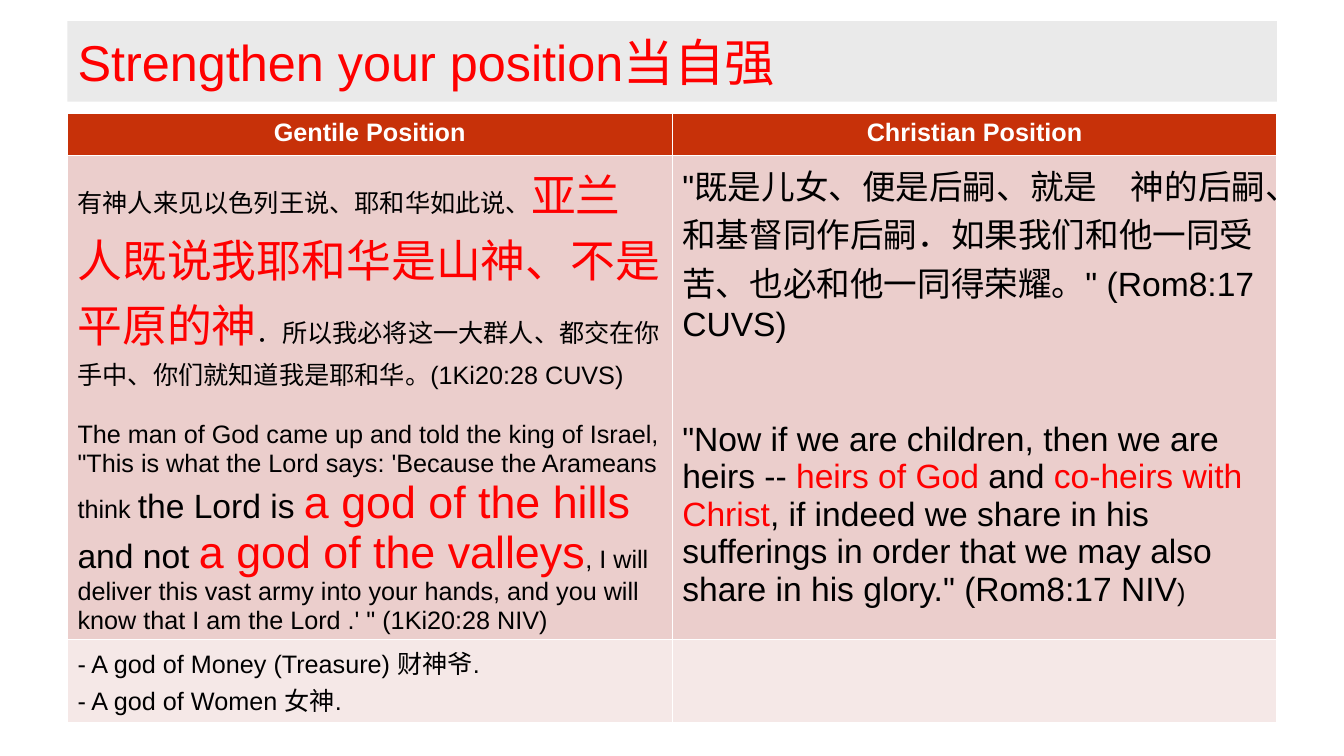
from dataclasses import dataclass

from pptx import Presentation
from pptx.dml.color import RGBColor as RGB
from pptx.enum.text import MSO_ANCHOR as Anchor, MSO_AUTO_SIZE as AutoSize, PP_ALIGN as Align
from pptx.util import Cm, Pt


@dataclass(frozen=True)
class Theme:
    font: str = "Arial"
    black: RGB = RGB(0, 0, 0)
    white: RGB = RGB(255, 255, 255)
    red: RGB = RGB(255, 0, 0)
    title_fill: RGB = RGB.from_string("EAEAEA")
    header_fill: RGB = RGB.from_string("C73109")
    row_fills: tuple = (RGB.from_string("EBCECC"), RGB.from_string("F5E8E7"))
    title: Pt = Pt(36)
    strong: Pt = Pt(32)
    verse: Pt = Pt(24)
    body: Pt = Pt(18)


T = Theme()
LEFT, WIDTH = Cm(1.7), Cm(30.48)
ROW_HEIGHTS = (Cm(1.04), Cm(12.15), Cm(2.08))

BODY = {"size": T.body, "color": T.black}
VERSE = {"size": T.verse, "color": T.black}
STRONG = {"size": T.strong, "color": T.red}
RED_VERSE = {"size": T.verse, "color": T.red}
HEADER = {"size": T.body, "color": T.white, "bold": True}

HEADERS = ("Gentile Position", "Christian Position")

GENTILE = [
    [("有神人来见以色列王说、耶和华如此说、", BODY),
     ("亚兰人既说我耶和华是山神、不是平原的神", STRONG),
     ("．所以我必将这一大群人、都交在你手中、你们就知道我是耶和华。(1Ki20:28 CUVS)", BODY)],
    [("The man of God came up and told the king of Israel, \"This is what the Lord says: "
      "'Because the Arameans think ", BODY),
     ("the Lord is ", VERSE),
     ("a god of the hills ", STRONG),
     ("and not ", VERSE),
     ("a god of the valleys", STRONG),
     (", I will deliver this vast army into your hands, and you will know that "
      "I am the Lord .' \" (1Ki20:28 NIV)", BODY)],
]

CHRISTIAN = [
    [("\"既是儿女、便是后嗣、就是　神的后嗣、和基督同作后嗣．如果我们和他一同受苦、"
      "也必和他一同得荣耀。\" (Rom8:17 CUVS)", VERSE)],
    [("\"Now if we are children, then we are heirs -- ", VERSE),
     ("heirs of God", RED_VERSE),
     (" and ", VERSE),
     ("co-heirs with Christ", RED_VERSE),
     (", if indeed we share in his sufferings in order that we may also share in "
      "his glory.\" (Rom8:17 NIV", VERSE),
     (")", BODY)],
]

IDOLS = [
    [("- A god of Money (Treasure) 财神爷.", BODY)],
    [("- A god of Women 女神.", BODY)],
]


def add_run(p, text, style):
    r = p.add_run()
    r.text = text
    for name, value in {"name": T.font, "bold": False, **style}.items():
        if name == "color":
            r.font.color.rgb = value
        else:
            setattr(r.font, name, value)


def write(tf, paragraphs, align=Align.LEFT, gap=Pt(0)):
    """Fill a text frame; gap is the space between paragraphs."""
    for i, runs in enumerate(paragraphs):
        p = tf.add_paragraph() if i else tf.paragraphs[0]
        p.alignment = align
        if i:
            p.space_before = gap
        for text, style in runs:
            add_run(p, text, style)


def paint(target, color):
    target.fill.solid()
    target.fill.fore_color.rgb = color


def set_title(slide, text):
    sp = slide.shapes.title
    sp.left, sp.top, sp.width, sp.height = LEFT, Cm(0.53), WIDTH, Cm(2.03)
    paint(sp, T.title_fill)
    tf = sp.text_frame
    tf.vertical_anchor = Anchor.MIDDLE
    tf.auto_size = AutoSize.NONE
    write(tf, [[(text, {"size": T.title, "color": T.red})]])


def add_positions_table(slide):
    frame = slide.shapes.add_table(len(ROW_HEIGHTS), len(HEADERS), LEFT, Cm(2.87),
                                   WIDTH, sum(ROW_HEIGHTS))
    table = frame.table
    for row, height in zip(table.rows, ROW_HEIGHTS):
        row.height = height
    for row, color in zip(table.rows, (T.header_fill, *T.row_fills)):
        for cell in row.cells:
            paint(cell, color)
    for col, header in enumerate(HEADERS):
        write(table.cell(0, col).text_frame, [[(header, HEADER)]], Align.CENTER)
    write(table.cell(1, 0).text_frame, GENTILE, gap=Pt(21))
    write(table.cell(1, 1).text_frame, CHRISTIAN, gap=Pt(55))
    write(table.cell(2, 0).text_frame, IDOLS)


def main():
    prs = Presentation()
    prs.slide_width, prs.slide_height = Cm(33.87), Cm(19.05)
    slide = prs.slides.add_slide(prs.slide_layouts.get_by_name("Title Only"))
    set_title(slide, "Strengthen your position当自强")
    add_positions_table(slide)
    prs.save("out.pptx")


if __name__ == "__main__":
    main()
